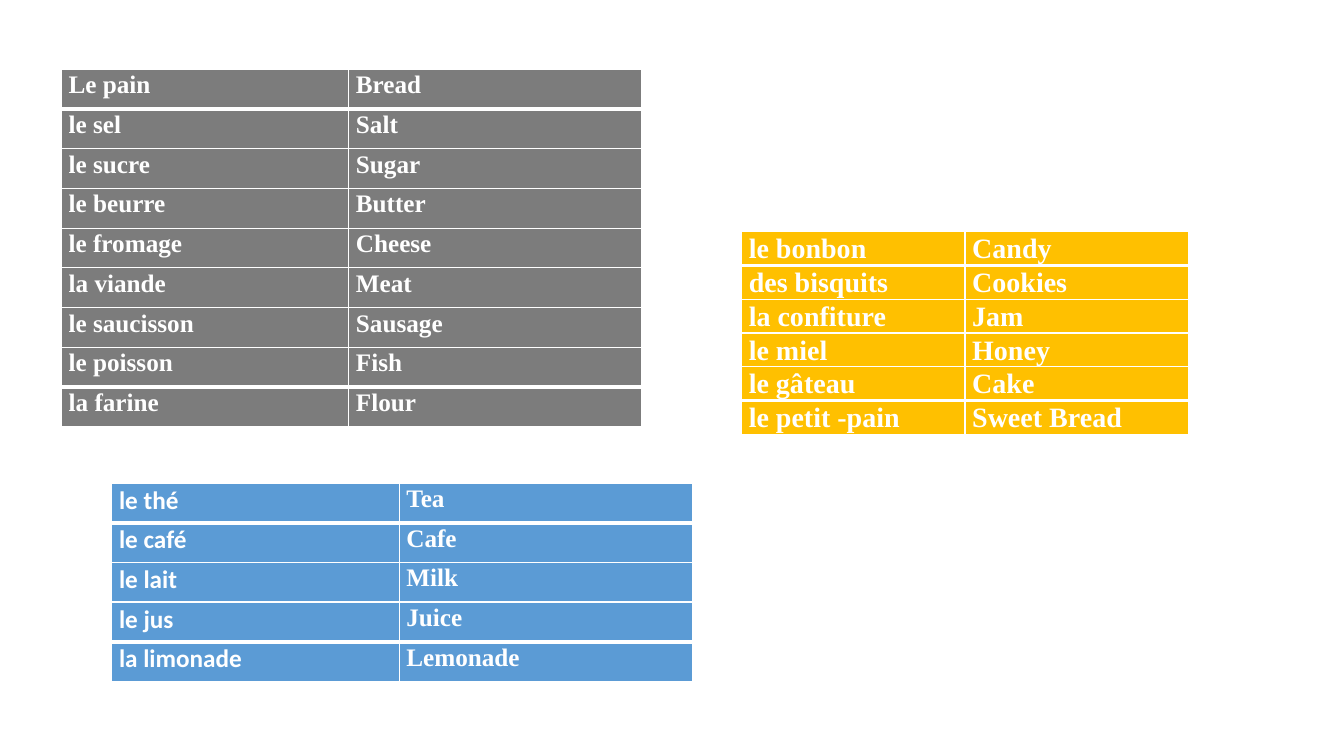
"""Build a slide of three French to English food vocabulary tables."""
from dataclasses import dataclass

from lxml import etree
from pptx import Presentation
from pptx.dml.color import RGBColor
from pptx.oxml import ns
from pptx.slide import Slide
from pptx.table import _Cell
from pptx.util import Cm, Pt


@dataclass(frozen=True)
class Theme:
    white: str = "FFFFFF"
    grey: str = "7C7C7C"
    gold: str = "FFC000"
    blue: str = "5B9BD5"
    serif: str = "Times New Roman"
    sans: str = "Calibri"
    body: int = 18
    large: int = 20
    thin: int = 1
    thick: int = 3
    spacing: float = 1.07
    inset: float = 0.18


@dataclass(frozen=True)
class Vocabulary:
    left: float
    top: float
    widths: tuple[float, float]
    row_height: float
    fill: str
    size: int
    fonts: tuple[str, str]
    words: tuple[tuple[str, str], ...]


THEME = Theme()

STAPLES = Vocabulary(
    1.55, 1.75, (7.24, 7.39), 1.0, THEME.grey, THEME.body,
    (THEME.serif, THEME.serif),
    (
        ("Le pain", "Bread"),
        ("le sel", "Salt"),
        ("le sucre", "Sugar"),
        ("le beurre", "Butter"),
        ("le fromage", "Cheese"),
        ("la viande", "Meat"),
        ("le saucisson", "Sausage"),
        ("le poisson", "Fish"),
        ("la farine", "Flour"),
    ),
)
SWEETS = Vocabulary(
    18.69, 5.84, (5.63, 5.63), 0.85, THEME.gold, THEME.large,
    (THEME.serif, THEME.serif),
    (
        ("le bonbon", "Candy"),
        ("des bisquits", "Cookies"),
        ("la confiture", "Jam"),
        ("le miel", "Honey"),
        ("le gâteau", "Cake"),
        ("le petit -pain", "Sweet Bread"),
    ),
)
DRINKS = Vocabulary(
    2.82, 12.17, (7.24, 7.39), 1.0, THEME.blue, THEME.body,
    (THEME.sans, THEME.serif),
    (
        ("le thé", "Tea"),
        ("le café", "Cafe"),
        ("le lait", "Milk"),
        ("le jus", "Juice"),
        ("la limonade", "Lemonade"),
    ),
)


def set_borders(cell: _Cell, top: int, bottom: int) -> None:
    """Draw white borders around a cell, with thin sides."""
    tc_pr = cell._tc.get_or_add_tcPr()
    widths = {"L": THEME.thin, "R": THEME.thin, "T": top, "B": bottom}
    for i, (side, width) in enumerate(widths.items()):
        ln = etree.Element(ns.qn(f"a:ln{side}"), w=str(Pt(width)))
        fill = etree.SubElement(ln, ns.qn("a:solidFill"))
        etree.SubElement(fill, ns.qn("a:srgbClr"), val=THEME.white)
        tc_pr.insert(i, ln)


def fill_cell(cell: _Cell, word: str, font: str, size: int, fill: str) -> None:
    """Write one bold white word on a coloured cell."""
    cell.fill.solid()
    cell.fill.fore_color.rgb = RGBColor.from_string(fill)
    cell.margin_left = cell.margin_right = Cm(THEME.inset)
    cell.margin_top = cell.margin_bottom = Cm(0)
    p = cell.text_frame.paragraphs[0]
    p.line_spacing = THEME.spacing
    r = p.add_run()
    r.text = word
    r.font.name = font
    r.font.size = Pt(size)
    r.font.bold = True
    r.font.color.rgb = RGBColor.from_string(THEME.white)


def add_vocabulary(s: Slide, vocabulary: Vocabulary) -> None:
    """Add a two-column table set off by thick rules after its first row and before its last."""
    count = len(vocabulary.words)
    table = s.shapes.add_table(
        count, 2, Cm(vocabulary.left), Cm(vocabulary.top),
        Cm(sum(vocabulary.widths)), Cm(vocabulary.row_height * count),
    ).table
    table.first_row = table.horz_banding = False
    for column, width in zip(table.columns, vocabulary.widths):
        column.width = Cm(width)
    rules = [THEME.thin] * (count + 1)
    rules[1] = rules[-2] = THEME.thick
    for i, pair in enumerate(vocabulary.words):
        table.rows[i].height = Cm(vocabulary.row_height)
        for j, (word, font) in enumerate(zip(pair, vocabulary.fonts)):
            cell = table.cell(i, j)
            fill_cell(cell, word, font, vocabulary.size, vocabulary.fill)
            set_borders(cell, rules[i], rules[i + 1])


def main() -> None:
    """Create and save the presentation."""
    prs = Presentation()
    prs.slide_width, prs.slide_height = Cm(33.87), Cm(19.05)
    s = prs.slides.add_slide(prs.slide_layouts[6])
    for vocabulary in (STAPLES, SWEETS, DRINKS):
        add_vocabulary(s, vocabulary)
    prs.save("out.pptx")


if __name__ == "__main__":
    main()
